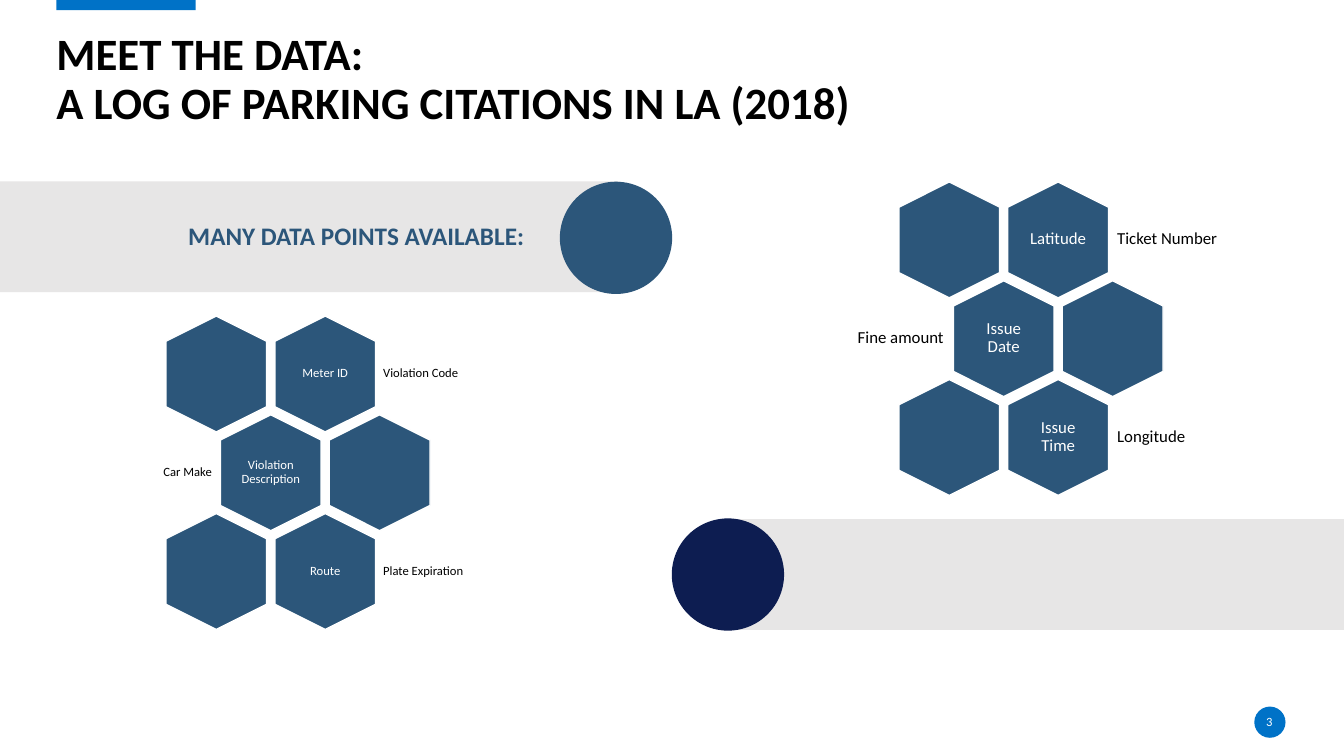
from dataclasses import dataclass

from pptx import Presentation
from pptx.dml.color import RGBColor
from pptx.enum.shapes import MSO_SHAPE as Shp
from pptx.enum.text import MSO_ANCHOR as Anchor, PP_ALIGN as Align
from pptx.shapes.autoshape import Shape
from pptx.shapes.shapetree import GroupShapes, SlideShapes
from pptx.util import Inches, Pt


@dataclass(frozen=True)
class Theme:
    font: str = "Calibri"
    black: str = "000000"
    white: str = "FFFFFF"
    grey: str = "E7E6E6"
    accent: str = "0072C7"
    steel: str = "2C567A"
    navy: str = "0D1D51"
    title_size: int = 32
    heading_size: int = 18
    large_size: int = 12
    small_size: int = 9


@dataclass(frozen=True)
class Box:
    left: float
    top: float
    width: float
    height: float

    def emu(self) -> list[int]:
        return [Inches(v) for v in (self.left, self.top, self.width, self.height)]


@dataclass(frozen=True)
class Block:
    box: Box
    kind: Shp
    fill: str
    line: str | None = None


@dataclass(frozen=True)
class Style:
    size: int
    color: str
    align: Align = Align.LEFT
    bold: bool = False
    anchor: Anchor = Anchor.MIDDLE
    inset: float = 0
    spacing: float = 0.9


@dataclass(frozen=True)
class HexRow:
    inner: str
    outer: str


@dataclass(frozen=True)
class Honeycomb:
    left: float
    top: float
    size: int
    inset: float
    rows: tuple[HexRow, ...]


Shapes = SlideShapes | GroupShapes
T = Theme()

HEX_W, HEX_H = 1.15, 1.0
COL_STEP, ROW_STEP = 1.08, 0.98

BLOCKS = (
    Block(Box(7.22, 5.15, 6.11, 1.1), Shp.RECTANGLE, T.grey),
    Block(Box(0, 1.8, 6.15, 1.1), Shp.RECTANGLE, T.grey),
    Block(Box(0.56, 0, 1.38, 0.1), Shp.RECTANGLE, T.accent),
    Block(Box(12.44, 7.01, 0.31, 0.31), Shp.OVAL, T.accent),
    Block(Box(5.56, 1.81, 1.1, 1.1), Shp.OVAL, T.steel, T.steel),
    Block(Box(6.67, 5.15, 1.1, 1.1), Shp.OVAL, T.navy, T.navy),
)

HONEYCOMBS = (
    Honeycomb(1.57, 3.21, T.small_size, 0.04, (
        HexRow("Meter ID", "Violation Code"),
        HexRow("Violation Description", "Car Make"),
        HexRow("Route", "Plate Expiration"),
    )),
    Honeycomb(8.84, 1.88, T.large_size, 0.05, (
        HexRow("Latitude", "Ticket Number"),
        HexRow("Issue Date", "Fine amount"),
        HexRow("Issue Time", "Longitude"),
    )),
)


def add_block(shapes: Shapes, block: Block) -> Shape:
    sp = shapes.add_shape(block.kind, *block.box.emu())
    sp.shadow.inherit = False
    sp.fill.solid()
    sp.fill.fore_color.rgb = RGBColor.from_string(block.fill)
    if block.line:
        sp.line.color.rgb = RGBColor.from_string(block.line)
        sp.line.width = Pt(1)
    else:
        sp.line.fill.background()
    return sp


def add_text(shapes: Shapes, box: Box, style: Style, *lines: str) -> None:
    """Write the lines as one paragraph, with line breaks between them."""
    tf = shapes.add_textbox(*box.emu()).text_frame
    tf.word_wrap = True
    tf.vertical_anchor = style.anchor
    tf.margin_left = tf.margin_right = Inches(style.inset)
    tf.margin_top = tf.margin_bottom = Inches(style.inset)
    p = tf.paragraphs[0]
    p.alignment = style.align
    p.line_spacing = style.spacing
    p.font.name = T.font
    p.font.size = Pt(style.size)
    p.font.bold = style.bold
    p.font.color.rgb = RGBColor.from_string(style.color)
    for i, line in enumerate(lines):
        if i:
            p.add_line_break()
        p.add_run().text = line


def add_hexagon(shapes: Shapes, left: float, top: float) -> None:
    box = Box(left, top, HEX_W, HEX_H)
    sp = add_block(shapes, Block(box, Shp.HEXAGON, T.steel, T.white))
    sp.adjustments[0] = 0.25
    sp.rotation = 90


def add_honeycomb(shapes: SlideShapes, comb: Honeycomb) -> None:
    """Draw rows of two hexagons; odd rows shift right and are labelled on the left."""
    group = shapes.add_group_shape().shapes
    for i, row in enumerate(comb.rows):
        shifted = i % 2 == 1
        left = comb.left + shifted * COL_STEP / 2
        top = comb.top + i * ROW_STEP
        for col in range(2):
            add_hexagon(group, left + col * COL_STEP, top)

        named = left if shifted else left + COL_STEP
        inner = Style(comb.size, T.white, Align.CENTER, inset=comb.inset)
        add_text(group, Box(named + 0.23, top + 0.1, 0.69, 0.79), inner, row.inner)

        side = Align.RIGHT if shifted else Align.LEFT
        offset, width = (-1.21, 1.24) if shifted else (1.11, 1.29)
        outer = Style(comb.size, T.black, side, inset=comb.inset)
        add_text(group, Box(named + offset, top + 0.15, width, 0.69), outer, row.outer)


def main() -> None:
    prs = Presentation()
    prs.slide_width, prs.slide_height = Inches(13.33), Inches(7.5)
    shapes = prs.slides.add_slide(prs.slide_layouts[6]).shapes

    for block in BLOCKS:
        add_block(shapes, block)

    add_text(shapes, Box(0.56, 0.27, 12.19, 1.01),
             Style(T.title_size, T.black, bold=True, anchor=Anchor.BOTTOM),
             "MEET THE DATA:", "A LOG OF PARKING CITATIONS IN LA (2018)")
    add_text(shapes, Box(1.43, 2.08, 3.77, 0.54),
             Style(T.heading_size, T.steel, Align.RIGHT, bold=True),
             "MANY DATA POINTS AVAILABLE:")
    add_text(shapes, Box(12.43, 7.06, 0.32, 0.2),
             Style(T.small_size, T.white, Align.CENTER, spacing=1.0), "3")

    for comb in HONEYCOMBS:
        add_honeycomb(shapes, comb)

    prs.save("out.pptx")


if __name__ == "__main__":
    main()
